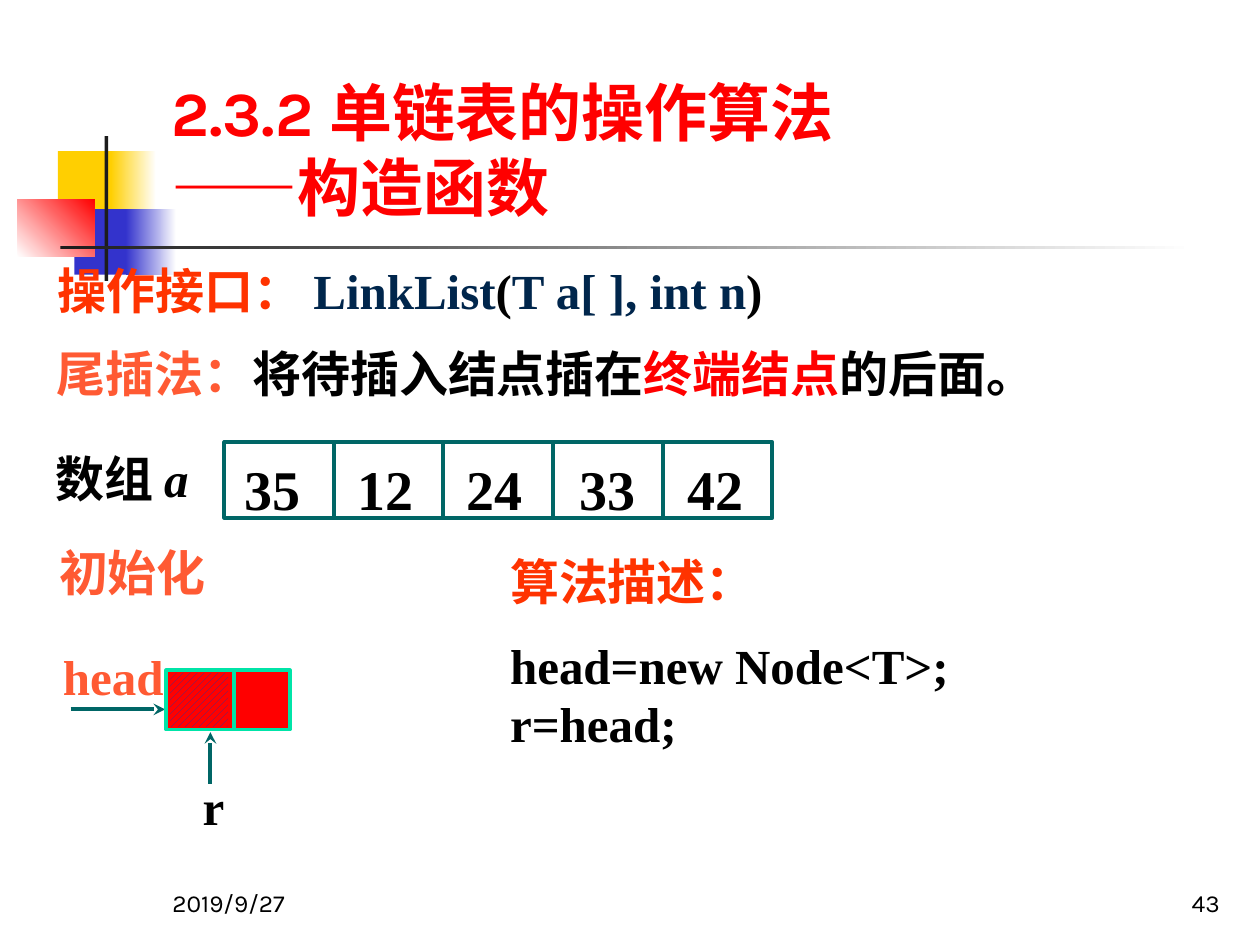
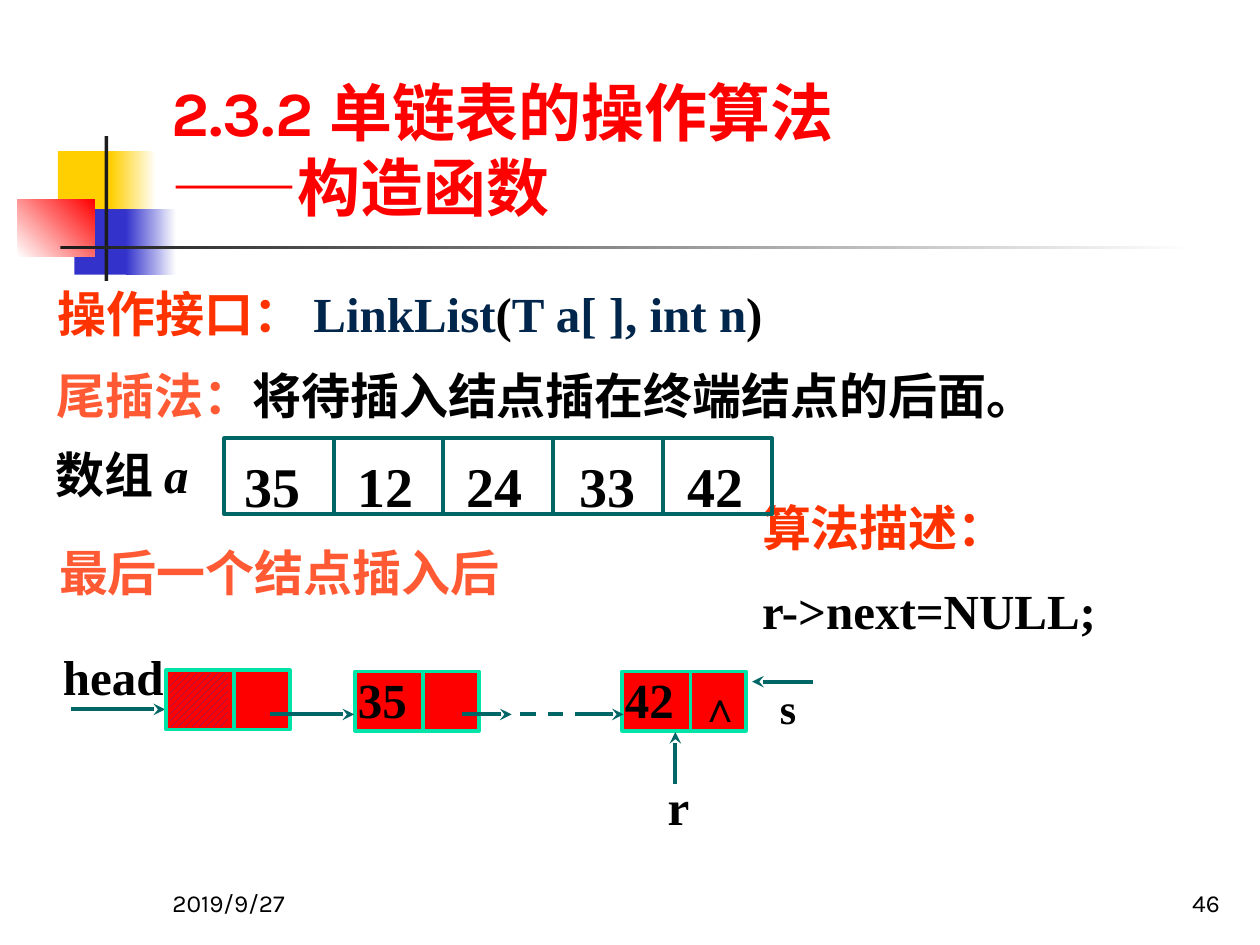
from lxml import etree
from pptx import Presentation
from pptx import util as u
from pptx.dml.color import RGBColor
from pptx.enum import dml, shapes, text
from pptx.oxml.ns import qn

COLORS = {
    "black": "000000", "white": "FFFFFF", "ink": "1C1C1C", "red": "FF0000",
    "yellow": "FFCF01", "blue": "3333CC", "hatch": "333399", "teal": "006666",
    "mint": "00E4A8", "orange": "FF3300", "coral": "FF5A33", "navy": "00264C",
}
RGB = {name: RGBColor.from_string(value) for name, value in COLORS.items()}
SERIF, SANS, TITLE, CJK = "Times New Roman", "Arial", "Karla", "Noto Sans CJK SC"
STROKE = u.Pt(2.25)


def place(slide, box, paragraphs=(), fill=None, outline=None, font=SERIF, size=28,
          bold=True, align=text.PP_ALIGN.LEFT, anchor=text.MSO_ANCHOR.TOP,
          insets=(0.1, 0.05, 0.1, 0.05), spacing=None, gap=0):
    """Add a rectangle or text box; runs are (text, colour[, font[, italic]])."""
    area = [u.Inches(value) for value in box]
    if fill or outline:
        item = slide.shapes.add_shape(shapes.MSO_SHAPE.RECTANGLE, *area)
        item.shadow.inherit = False
        if fill:
            item.fill.solid()
            item.fill.fore_color.rgb = RGB[fill]
        else:
            item.fill.background()
        if outline:
            item.line.color.rgb = RGB[outline]
            item.line.width = STROKE
        else:
            item.line.fill.background()
    else:
        item = slide.shapes.add_textbox(*area)
    frame = item.text_frame
    frame.word_wrap = True
    frame.vertical_anchor = anchor
    (frame.margin_left, frame.margin_top,
     frame.margin_right, frame.margin_bottom) = map(u.Inches, insets)
    for index, runs in enumerate(paragraphs):
        para = frame.add_paragraph() if index else frame.paragraphs[0]
        para.alignment = align
        if spacing:
            para.line_spacing = spacing
        if index == 1 and gap:
            para.space_before = u.Pt(gap)
        para.font.name, para.font.size, para.font.bold = font, u.Pt(size), bold
        para.font.color.rgb = RGB[runs[0][1]]
        for words, color, *style in runs:
            if words == "\n":
                para.add_line_break()
                continue
            run = para.add_run()
            run.text = words
            if color != runs[0][1]:
                run.font.color.rgb = RGB[color]
            if style:
                run.font.name = style[0]
                run.font.italic = True if style[1:] else None
    return item


def link(slide, start, end, color="teal", arrow=True, dashed=False):
    """Add a straight line, with an arrowhead at its end if wanted."""
    points = [u.Inches(value) for value in (*start, *end)]
    line = slide.shapes.add_connector(shapes.MSO_CONNECTOR.STRAIGHT, *points)
    line.line.color.rgb = RGB[color]
    line.line.width = STROKE
    if dashed:
        line.line.dash_style = dml.MSO_LINE.DASH
    if arrow:
        etree.SubElement(line.line._get_or_add_ln(), qn("a:tailEnd"), type="stealth")
    etree.SubElement(line._element.spPr, qn("a:effectLst"))


# Shared decoration: box, start colour, end colour, angle
BANDS = [
    ((0.46, 1.2, 0.48, 0.52), "yellow", None, 0),
    ((0.88, 1.2, 0.36, 0.52), "yellow", "white", 0),
    ((0.59, 1.66, 0.46, 0.52), "blue", None, 0),
    ((1, 1.66, 0.4, 0.52), "blue", "white", 0),
    ((0.14, 1.58, 0.61, 0.46), "white", "red", 45),
    ((0.83, 1.08, 0.03, 1.15), "ink", None, 0),
    ((0.48, 1.95, 9, 0.03), "ink", "white", 0),
]
ARRAY = [("35", 1.94), ("12", 2.84), ("24", 3.7), ("33", 4.6), ("42", 5.46)]
CELL_W, NODE_W, NODE_H, DIVIDER = 0.87, 0.98, 0.47, 0.54
NONE = (0, 0, 0, 0)
LABEL = (0, 0, 0, 0.04)

PAGES = [
    dict(
        number="43", call_y=2.02, method_y=2.68, array_y=3.51,
        method=[("将待插入结点插在", "black"), ("终端结点", "red"), ("的后面。", "black")],
        stage="初始化", head_color="coral",
        code_box=(3.95, 4.33, 4.18, 1.74), code=["head=new Node<T>;", "r=head;"],
        nodes=[], rear_x=1.67,
    ),
    dict(
        number="46", call_y=2.2, method_y=2.85, array_y=3.48,
        method=[("将待插入结点插在终端结点的后面。", "black")],
        stage="最后一个结点插入后", head_color="black",
        code_box=(5.95, 3.9, 3.6, 1.27), code=["r->next=NULL;"],
        nodes=[("35", 2.82), ("42", 4.94)], rear_x=5.36,
    ),
]

deck = Presentation()
deck.slide_width, deck.slide_height = u.Inches(10), u.Inches(7.5)

for page in PAGES:
    slide = deck.slides.add_slide(deck.slide_layouts[6])

    # Corner blocks and rules
    for box, first, last, angle in BANDS:
        band = place(slide, box, fill=first)
        if last:
            band.fill.gradient()
            band.fill.gradient_angle = angle
            for stop, color, position in zip(band.fill.gradient_stops, (first, last), (0, 1)):
                stop.color.rgb = RGB[color]
                stop.position = position

    # Footer and title
    for words, left, align in (("2019/9/27", 1.27, text.PP_ALIGN.LEFT),
                               (page["number"], 7.7, text.PP_ALIGN.RIGHT)):
        place(slide, (left, 6.83, 2.08, 0.5), [[(words, "black")]], font=TITLE, size=14,
              bold=False, align=align, anchor=text.MSO_ANCHOR.BOTTOM)
    place(slide, (1.26, 0.23, 8.52, 1.6),
          [[("2.3.2 单链表的操作算法", "red"), ("\n", "red"),
            ("——", "red", SANS), ("构造函数", "red")]],
          font=TITLE, size=36, anchor=text.MSO_ANCHOR.BOTTOM)

    # Interface, method and algorithm
    place(slide, (0.45, page["method_y"], 9.33, 0.57),
          [[("尾插法：", "coral"), *page["method"]]], font=CJK, insets=(0, 0.05, 0, 0.05))
    place(slide, (0.36, page["call_y"], 9, 0.57),
          [[("操作接口： ", "orange"), ("LinkList", "navy"), ("(", "black"),
            ("T a[ ], int n", "navy"), (")", "black")]], align=text.PP_ALIGN.JUSTIFY)
    place(slide, page["code_box"],
          [[("算法描述：", "orange")], *([(code, "black")] for code in page["code"])], gap=14)

    # Array a
    top = page["array_y"]
    for index in range(len(ARRAY)):
        place(slide, (1.78 + index * CELL_W, top, CELL_W, 0.6), outline="teal")
    place(slide, (0.34, top, 1.58, 0.57),
          [[("数组 ", "black"), ("a", "black", SERIF, "italic")]], font=SANS)
    for value, left in ARRAY:
        place(slide, (left, top + 0.1, 0.52, 0.53), [[(value, "black")]], size=32, insets=NONE)

    # Stage and head pointer
    place(slide, (0.37, 4.26, 3.78, 0.57), [[(page["stage"], "coral")]])
    link(slide, (0.56, 5.63), (1.31, 5.63))
    place(slide, (0.5, 5.13, 0.83, 0.51), [[("head", page["head_color"])]], insets=LABEL)

    # Head node with hatched data field, then the inserted nodes
    for value, left in [("", 1.32), *page["nodes"]]:
        node_top = 5.33 if value else 5.32
        place(slide, (left, node_top, NODE_W, NODE_H), [[(value, "black")]] if value else (),
              fill="red", outline="mint", insets=(0.02, 0.04, 0, 0), spacing=0.9)
        link(slide, (left + DIVIDER, node_top), (left + DIVIDER, 5.8), "mint", arrow=False)
    hatch = place(slide, (1.35, 5.34, 0.46, 0.43), fill="red").fill
    hatch.patterned()
    hatch.pattern = dml.MSO_PATTERN.WIDE_UPWARD_DIAGONAL
    hatch.fore_color.rgb, hatch.back_color.rgb = RGB["hatch"], RGB["red"]

    # Links between nodes, new node s and the end mark
    if page["nodes"]:
        for start, end in ((2.14, 2.81), (3.67, 4.06), (4.56, 4.95)):
            link(slide, (start, 5.67), (end, 5.67))
        link(slide, (4.13, 5.67), (4.52, 5.67), arrow=False, dashed=True)
        link(slide, (6.45, 5.41), (5.97, 5.41))
        place(slide, (6.19, 5.42, 0.27, 0.4), [[("s", "black")]], size=24, insets=NONE)
        place(slide, (5.45, 5.35, 0.57, 0.49), [[("∧", "black")]], size=24)

    # Rear pointer r
    rear = page["rear_x"]
    link(slide, (rear, 6.22), (rear, 5.81))
    place(slide, (rear - 0.39, 6.16, 0.83, 0.51), [[("r", "black")]],
          align=text.PP_ALIGN.CENTER, insets=LABEL)

deck.save("out.pptx")
